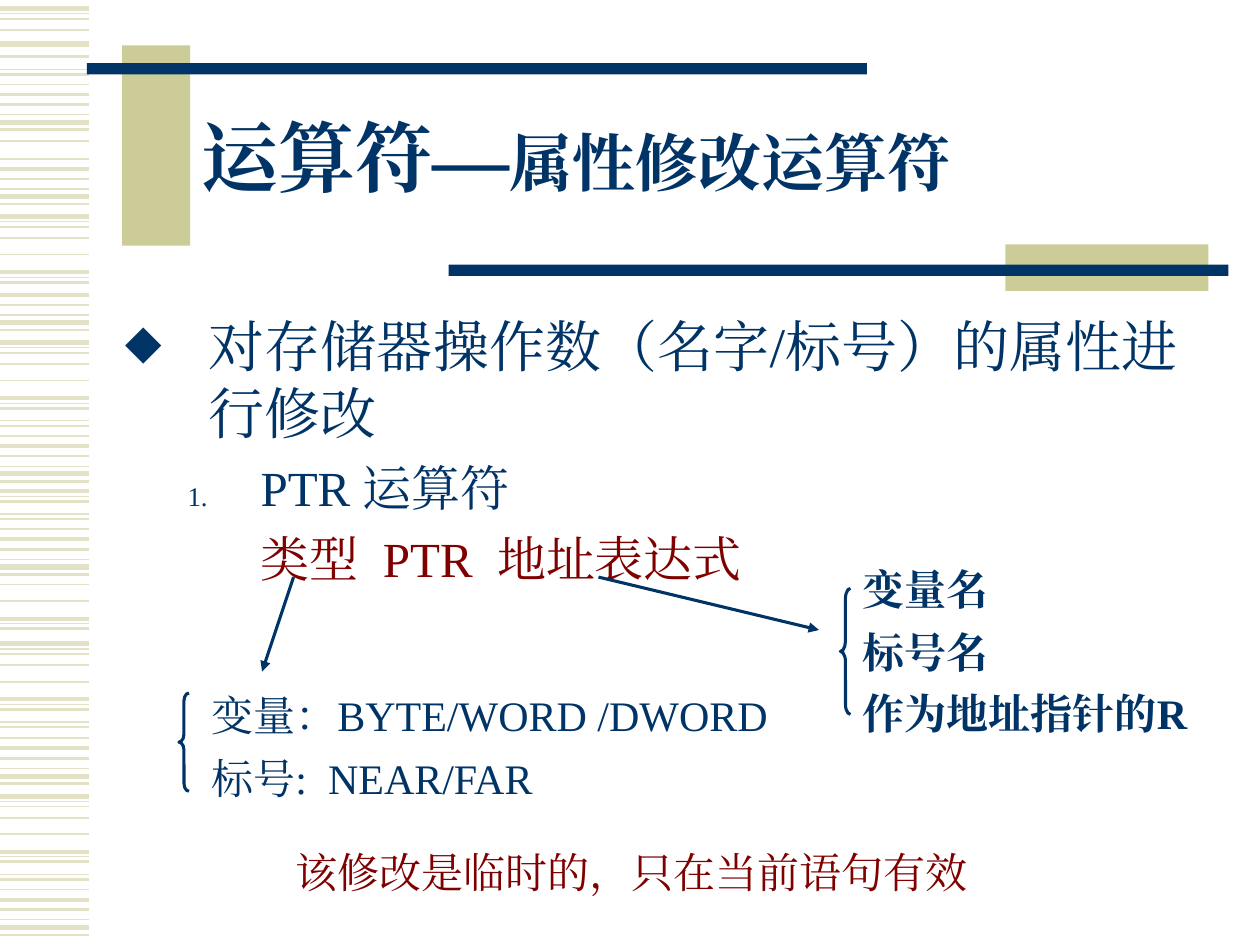
from typing import NamedTuple

from lxml.etree import SubElement
from pptx import Presentation
from pptx.dml.color import RGBColor
from pptx.enum.shapes import MSO_CONNECTOR, MSO_SHAPE
from pptx.enum.text import MSO_ANCHOR, MSO_AUTO_SIZE, PP_ALIGN
from pptx.oxml.ns import qn
from pptx.util import Pt

PX = 9144  # 100 px to the inch
FONT = "Times New Roman"
NAVY, MAROON, KHAKI, PALE = "003366", "800000", "CCCC99", "E3E2C7"
STRIPE_WIDTH = 71


class Stripe(NamedTuple):
    offset: int
    weight: float


class StripeGroup(NamedTuple):
    base: int
    stripes: list[Stripe]


class Bar(NamedTuple):
    left: int
    top: int
    width: int
    height: int
    color: str


class Arrow(NamedTuple):
    x1: int
    y1: int
    x2: int
    y2: int


class Brace(NamedTuple):
    left: int
    top: int
    height: int
    curve: float


class Label(NamedTuple):
    left: int
    top: int
    width: int
    lines: list[str]
    bold: bool = False
    color: str = NAVY
    indent: int = 0


SHORT = [Stripe(-30, 1), Stripe(-22, 2.25), Stripe(-14, 1.5),
         Stripe(-6, 0.75), Stripe(0, 3), Stripe(6, 1.5)]
LONG = [Stripe(0, 3), Stripe(4, 0.75), Stripe(8, 1), Stripe(17, 1), Stripe(30, 1),
        Stripe(44, 2.25), Stripe(48, 0.75), Stripe(52, 1.5), Stripe(62, 0.75),
        Stripe(66, 1.5)]
STRIPE_GROUPS = [
    *(StripeGroup(base, SHORT) for base in (97, 156, 376, 450, 616, 736)),
    StripeGroup(256, SHORT[1:]),
    *(StripeGroup(base, LONG) for base in (272, 511, 632)),
    StripeGroup(7, LONG[:4]),
    StripeGroup(35, LONG[:1]),
    StripeGroup(-7, LONG[7:]),
    StripeGroup(82, LONG[4:5]),
    StripeGroup(172, LONG[:8]),
    StripeGroup(346, LONG[5:]),
    StripeGroup(447, LONG[3:8]),
]
BARS = [
    Bar(97, 36, 54, 159, KHAKI),
    Bar(69, 50, 619, 9, NAVY),
    Bar(798, 194, 161, 37, KHAKI),
    Bar(356, 210, 619, 9, NAVY),
]
ARROWS = [Arrow(233, 458, 208, 533), Arrow(475, 458, 650, 500)]
BRACES = [Brace(142, 550, 78, 0.78), Brace(667, 467, 100, 1)]
LABELS = [
    Label(158, 667, 700, ["该修改是临时的，只在当前语句有效"], color=MAROON, indent=67),
    Label(158, 592, 458, ["标号:  NEAR/FAR"]),
    Label(158, 542, 550, ["变量：BYTE/WORD /DWORD"]),
    Label(675, 492, 458, ["标号名", "作为地址指针的R"], bold=True),
    Label(675, 442, 550, ["变量名"], bold=True),
]


def rgb(color: str) -> RGBColor:
    return RGBColor.from_string(color)


def place(shape, left: int, top: int, width: int, height: int) -> None:
    shape.left, shape.top = left * PX, top * PX
    shape.width, shape.height = width * PX, height * PX


def add_text(paragraph, text: str, *, size: float, color: str = NAVY, bold: bool = False,
             before: float = 0, margin: int = 0, hanging: int = 0) -> None:
    """Append a formatted run and set the paragraph's spacing and indents."""
    run = paragraph.add_run()
    run.text = text
    run.font.name = FONT
    run.font.size = Pt(size)
    run.font.bold = bold
    run.font.color.rgb = rgb(color)
    SubElement(run.font._element, qn("a:ea"), typeface=FONT)
    paragraph.alignment = PP_ALIGN.LEFT
    if before:
        paragraph.space_before = Pt(before)
    properties = paragraph._p.get_or_add_pPr()
    properties.set("marL", str(margin * PX))
    properties.set("indent", str(-hanging * PX))


def add_bullet(paragraph, kind: str, percent: int, **attributes: str) -> None:
    properties = paragraph._p.get_or_add_pPr()
    bullet_color = SubElement(properties, qn("a:buClr"))
    SubElement(bullet_color, qn("a:srgbClr"), val=NAVY)
    SubElement(properties, qn("a:buSzPct"), val=str(percent * 1000))
    SubElement(properties, qn("a:buFont"), typeface=FONT)
    SubElement(properties, qn(kind), **attributes)


def add_line(slide, x1: int, y1: int, x2: int, y2: int, color: str, weight: float):
    line = slide.shapes.add_connector(
        MSO_CONNECTOR.STRAIGHT, x1 * PX, y1 * PX, x2 * PX, y2 * PX)
    line.line.color.rgb = rgb(color)
    line.line.width = Pt(weight)
    SubElement(line._element.spPr, qn("a:effectLst"))
    return line


def add_arrow(slide, arrow: Arrow) -> None:
    line = add_line(slide, *arrow, NAVY, 1.75)
    SubElement(line.line._get_or_add_ln(), qn("a:tailEnd"), type="triangle")


def add_bar(slide, bar: Bar) -> None:
    shape = slide.shapes.add_shape(MSO_SHAPE.RECTANGLE, 0, 0, 0, 0)
    place(shape, *bar[:4])
    shape.shadow.inherit = False
    shape.fill.solid()
    shape.fill.fore_color.rgb = rgb(bar.color)
    shape.line.fill.background()


def add_brace(slide, brace: Brace) -> None:
    shape = slide.shapes.add_shape(MSO_SHAPE.LEFT_BRACE, 0, 0, 0, 0)
    place(shape, brace.left, brace.top, 8, brace.height)
    shape.adjustments[0] = brace.curve
    shape.shadow.inherit = False
    shape.fill.background()
    shape.line.color.rgb = rgb(NAVY)
    shape.line.width = Pt(1.75)


def add_text_frame(slide, left: int, top: int, width: int, height: int):
    box = slide.shapes.add_textbox(0, 0, 0, 0)
    place(box, left, top, width, height)
    box.text_frame.word_wrap = True
    return box.text_frame


def add_label(slide, label: Label) -> None:
    frame = add_text_frame(slide, label.left, label.top, label.width, 50)
    for index, line in enumerate(label.lines):
        paragraph = frame.add_paragraph() if index else frame.paragraphs[0]
        add_text(paragraph, line, size=24, color=label.color, bold=label.bold,
                 before=6 if index else 0, margin=label.indent)


def format_title(slide) -> None:
    title = slide.shapes.title
    place(title, 150, 67, 807, 125)
    frame = title.text_frame
    frame.auto_size = MSO_AUTO_SIZE.NONE
    frame.vertical_anchor = MSO_ANCHOR.MIDDLE
    paragraph = frame.paragraphs[0]
    paragraph.line_spacing = 0.85
    add_text(paragraph, "运算符—", size=44, bold=True)
    add_text(paragraph, "属性修改运算符", size=36, bold=True)


def add_body(slide) -> None:
    frame = add_text_frame(slide, 89, 242, 870, 249)
    summary = frame.paragraphs[0]
    add_text(summary, "对存储器操作数（名字/标号）的属性进行修改", size=32, margin=67, hanging=67)
    add_bullet(summary, "a:buChar", 100, char="⬥")
    operator = frame.add_paragraph()
    add_text(operator, "PTR 运算符", size=28, before=7, margin=108, hanging=58)
    add_bullet(operator, "a:buAutoNum", 55, type="arabicPeriod")
    add_text(frame.add_paragraph(), "类型  PTR  地址表达式", size=28, color=MAROON,
             before=7, margin=108)


def main() -> None:
    presentation = Presentation()
    presentation.slide_width, presentation.slide_height = 1000 * PX, 750 * PX
    slide = presentation.slides.add_slide(presentation.slide_layouts[5])
    for group in STRIPE_GROUPS:
        for stripe in group.stripes:
            y = group.base + stripe.offset
            add_line(slide, 0, y, STRIPE_WIDTH, y, PALE, stripe.weight)
    for bar in BARS:
        add_bar(slide, bar)
    format_title(slide)
    add_body(slide)
    for label in LABELS:
        add_label(slide, label)
    for arrow in ARROWS:
        add_arrow(slide, arrow)
    for brace in BRACES:
        add_brace(slide, brace)
    presentation.save("out.pptx")


if __name__ == "__main__":
    main()
